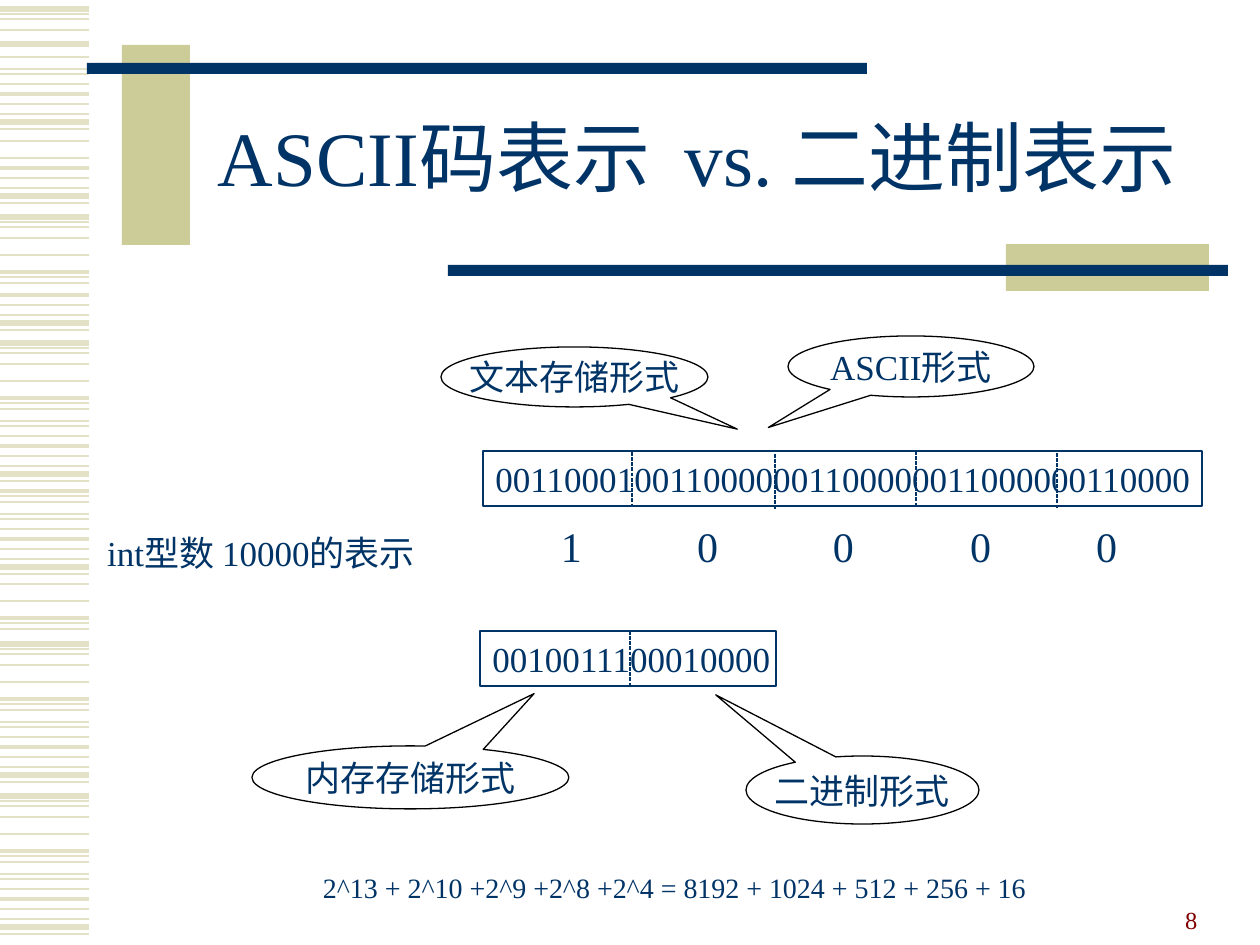
from dataclasses import dataclass

from lxml import etree
from pptx import Presentation
from pptx.dml.color import RGBColor
from pptx.enum import dml, shapes, text
from pptx.oxml.ns import qn
from pptx.util import Emu, Pt

EMU_PER_PX = 914400 / 126


@dataclass(frozen=True)
class Theme:
    font: str = "Times New Roman"
    navy: str = "003366"
    khaki: str = "CCCC99"
    stripe: str = "E3E2C7"
    white: str = "FFFFFF"
    black: str = "000000"
    page_red: str = "800000"
    title_size: int = 44
    digit_size: int = 24
    body_size: int = 20
    formula_size: int = 16
    page_size: int = 14
    outline: float = 0.75


THEME = Theme()
LEFT, CENTER, RIGHT = text.PP_ALIGN.LEFT, text.PP_ALIGN.CENTER, text.PP_ALIGN.RIGHT
TOP, MIDDLE, BOTTOM = text.MSO_ANCHOR.TOP, text.MSO_ANCHOR.MIDDLE, text.MSO_ANCHOR.BOTTOM

# One stripe pattern: (offset in px, weight in pt)
STRIPE_PATTERN = [
    (0, 3), (5, 0.75), (10, 1), (21, 1), (38, 1), (55, 2.25), (60, 0.75), (66, 1.5),
    (78, 0.75), (83, 1.5), (93, 1), (103, 2.25), (113, 1.5), (123, 0.75), (131, 3), (138, 1.5),
]
# Where the pattern repeats: (origin in px, first stripe, end stripe)
STRIPE_BANDS = [
    (9, 0, 4), (44, 0, 1), (-9, 7, 16), (103, 4, 5), (65, 10, 16), (217, 0, 8),
    (192, 11, 16), (343, 0, 16), (436, 5, 16), (563, 3, 8), (644, 0, 16), (796, 0, 16),
]


def px(*lengths):
    return [Emu(round(length * EMU_PER_PX)) for length in lengths]


def color(value):
    return RGBColor.from_string(value)


def write(shape, words, size, align=CENTER, anchor=MIDDLE, ink=THEME.navy,
          spacing=None, before=None, wrap=True, fit=False):
    frame = shape.text_frame
    frame.text = words
    frame.word_wrap = wrap
    frame.vertical_anchor = anchor
    frame.auto_size = text.MSO_AUTO_SIZE.SHAPE_TO_FIT_TEXT if fit else text.MSO_AUTO_SIZE.NONE
    paragraph = frame.paragraphs[0]
    paragraph.alignment = align
    paragraph.line_spacing = spacing
    if before is not None:
        paragraph.space_before = Pt(before)
    for run in paragraph.runs:
        run.font.name = THEME.font
        run.font.size = Pt(size)
        run.font.color.rgb = color(ink)


def add_label(slide, box, words, size, **style):
    label = slide.shapes.add_textbox(*px(*box))
    write(label, words, size, **style)
    return label


def add_box(slide, kind, box, fill, line=None):
    shape = slide.shapes.add_shape(kind, *px(*box))
    shape.shadow.inherit = False
    shape.fill.solid()
    shape.fill.fore_color.rgb = color(fill)
    if line:
        shape.line.color.rgb = color(line)
        shape.line.width = Pt(THEME.outline)
    else:
        shape.line.fill.background()
    return shape


def add_line(parent, ends, ink, weight):
    line = parent.shapes.add_connector(shapes.MSO_CONNECTOR.STRAIGHT, *px(*ends))
    line.line.color.rgb = color(ink)
    line.line.width = Pt(weight)
    etree.SubElement(line._element.spPr, qn("a:effectLst"))
    return line


def add_stripes(slide):
    group = slide.shapes.add_group_shape()
    for origin, first, end in STRIPE_BANDS:
        for offset, weight in STRIPE_PATTERN[first:end]:
            y = origin + offset
            add_line(group, (0, y, 89, y), THEME.stripe, weight)


def add_callout(slide, box, tip, words):
    callout = add_box(slide, shapes.MSO_SHAPE.OVAL_CALLOUT, box, THEME.white, THEME.black)
    callout.adjustments[0], callout.adjustments[1] = tip
    write(callout, words, THEME.body_size, wrap=False)


def add_bytes(slide, box, bits, dividers):
    row = add_box(slide, shapes.MSO_SHAPE.RECTANGLE, box, THEME.white, THEME.navy)
    write(row, bits, THEME.body_size, align=LEFT, wrap=False)
    for x, y in dividers:
        divider = add_line(slide, (x, y, x, y + 56), THEME.navy, THEME.outline)
        divider.line.dash_style = dml.MSO_LINE.SQUARE_DOT


def add_digits(slide, box, digits, first_offset, stops):
    label = add_label(slide, box, "\t".join(digits), THEME.digit_size, align=LEFT,
                      anchor=TOP, spacing=0.85, before=15, fit=True)
    label.text_frame.margin_left = px(first_offset)[0]
    properties = label.text_frame.paragraphs[0]._p.get_or_add_pPr()
    tabs = etree.SubElement(properties, qn("a:tabLst"))
    for position in px(*stops):
        etree.SubElement(tabs, qn("a:tab"), pos=str(position), algn="l")


def set_title(slide, box, words):
    title = slide.shapes.title
    title.left, title.top, title.width, title.height = px(*box)
    write(title, words, THEME.title_size, spacing=0.85)


def main():
    presentation = Presentation()
    presentation.slide_width, presentation.slide_height = px(1260, 945)
    slide = presentation.slides.add_slide(presentation.slide_layouts[5])

    # Decoration: side stripes, khaki blocks and navy bars
    add_stripes(slide)
    for box, fill in [
        ((122, 45, 68, 200), THEME.khaki), ((87, 63, 780, 11), THEME.navy),
        ((1006, 244, 203, 47), THEME.khaki), ((448, 265, 780, 11), THEME.navy),
    ]:
        add_box(slide, shapes.MSO_SHAPE.RECTANGLE, box, fill)

    # Title and subject
    set_title(slide, (189, 84, 1017, 158), "ASCII码表示  vs. 二进制表示")
    add_label(slide, (94, 504, 334, 97), "int型数 10000的表示", THEME.body_size, fit=True)

    # Binary and ASCII byte rows
    add_bytes(slide, (480, 631, 296, 55), "0010011100010000", [(630, 631)])
    add_bytes(slide, (483, 451, 719, 55), "0011000100110000001100000011000000110000",
              [(632, 452), (775, 454), (916, 451), (1057, 453)])
    add_digits(slide, (478, 522, 724, 55), "10000", 83, (136, 272, 409, 535))

    # Callouts
    for box, tip, words in [
        ((252, 746, 317, 63), (0.39, -1.33), "内存存储形式"),
        ((746, 756, 233, 68), (-0.63, -1.4), "二进制形式"),
        ((788, 336, 246, 61), (-0.58, 1), "ASCII形式"),
        ((441, 347, 267, 60), (0.61, 0.87), "文本存储形式"),
    ]:
        add_callout(slide, box, tip, words)

    # Sum and page number
    add_label(slide, (223, 869, 903, 42),
              "2^13 + 2^10 +2^9 +2^8 +2^4 = 8192 + 1024 + 512 + 256 + 16",
              THEME.formula_size, anchor=TOP, spacing=0.85, before=10, fit=True)
    add_label(slide, (908, 878, 302, 63), "8", THEME.page_size, align=RIGHT,
              anchor=BOTTOM, ink=THEME.page_red)

    presentation.save("out.pptx")


if __name__ == "__main__":
    main()
